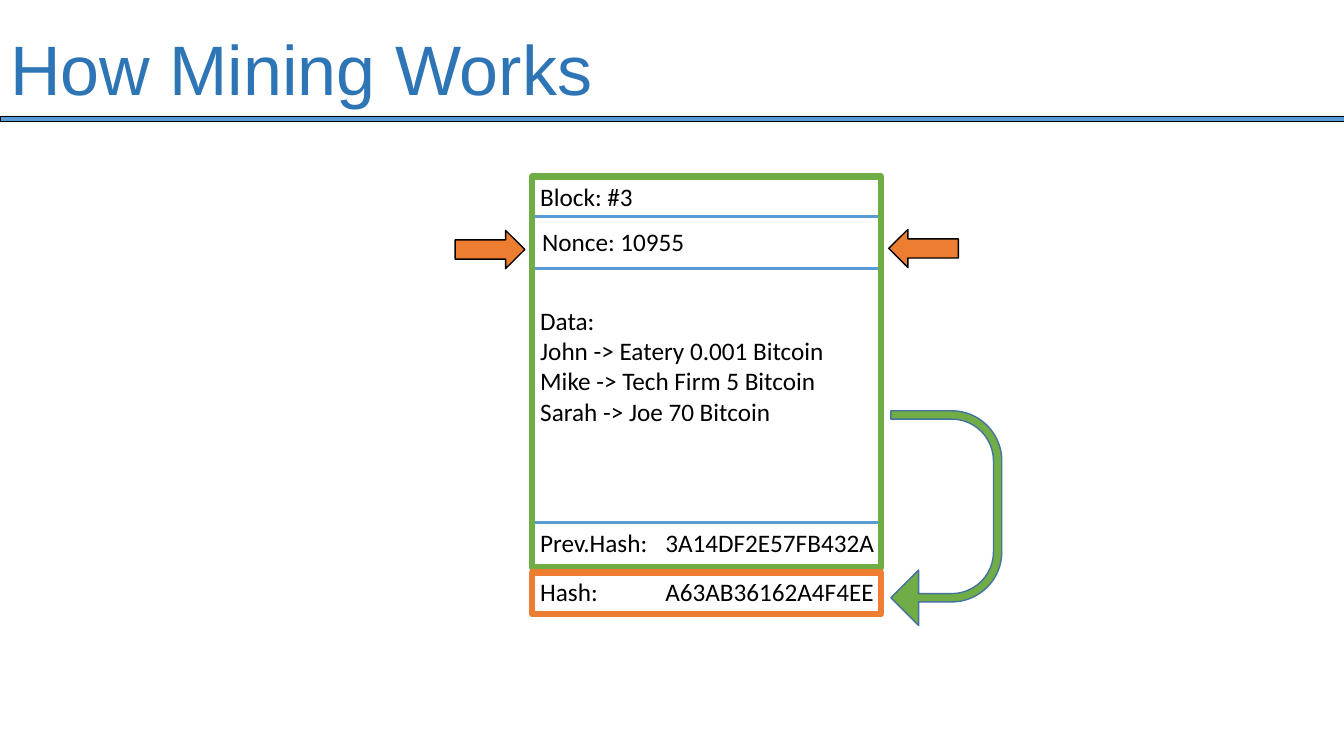
from lxml import etree
from pptx import Presentation
from pptx.dml.color import RGBColor
from pptx.enum.shapes import MSO_CONNECTOR, MSO_SHAPE
from pptx.enum.text import MSO_ANCHOR, MSO_AUTO_SIZE, PP_ALIGN
from pptx.oxml.ns import qn
from pptx.util import Inches, Pt

RECT = MSO_SHAPE.RECTANGLE
DOWN_ARROW = MSO_SHAPE.DOWN_ARROW
UTURN_ARROW = MSO_SHAPE.U_TURN_ARROW
STRAIGHT = MSO_CONNECTOR.STRAIGHT
LEFT = PP_ALIGN.LEFT
TOP = MSO_ANCHOR.TOP
MIDDLE = MSO_ANCHOR.MIDDLE
NO_FIT = MSO_AUTO_SIZE.NONE

COLORS = {
    "title": "2E75B6",
    "text": "000000",
    "blue": "5B9BD5",
    "green": "70AD47",
    "orange": "ED7D31",
    "edge": "43739E",
}


def color(name):
    return RGBColor.from_string(COLORS[name])


def write(frame, text, size=18, font="Calibri", ink="text", anchor=TOP, spacing=1.0, tab=None):
    frame.word_wrap = True
    frame.auto_size = NO_FIT
    frame.vertical_anchor = anchor
    frame.text = text
    for paragraph in frame.paragraphs:
        paragraph.alignment = LEFT
        paragraph.line_spacing = spacing
        if tab:
            stops = etree.SubElement(paragraph._p.get_or_add_pPr(), qn("a:tabLst"))
            etree.SubElement(stops, qn("a:tab"), pos=str(Inches(tab)), algn="l")
        paragraph.font.size = Pt(size)
        paragraph.font.name = font
        paragraph.font.color.rgb = color(ink)


class MiningSlide:
    def __init__(self, deck):
        self.width, self.height = deck.slide_width, deck.slide_height
        self.slide = deck.slides.add_slide(deck.slide_layouts[5])
        self.shapes = self.slide.shapes

    def place(self, left, top, width, height):
        return (
            round(self.width * left / 100),
            round(self.height * top / 100),
            round(self.width * width / 100),
            round(self.height * height / 100),
        )

    def title(self, text, box):
        heading = self.shapes.title
        heading.left, heading.top, heading.width, heading.height = self.place(*box)
        write(heading.text_frame, text, size=50, font="Arial", ink="title",
              anchor=MIDDLE, spacing=0.9)

    def label(self, text, box, **style):
        write(self.shapes.add_textbox(*self.place(*box)).text_frame, text, **style)

    def shape(self, kind, box, line, weight, fill=None, rotation=0, adjustments=()):
        figure = self.shapes.add_shape(kind, *self.place(*box))
        figure.shadow.inherit = False
        figure.rotation = rotation
        for index, value in enumerate(adjustments):
            figure.adjustments[index] = value
        if fill:
            figure.fill.solid()
            figure.fill.fore_color.rgb = color(fill)
        else:
            figure.fill.background()
        figure.line.color.rgb = color(line)
        figure.line.width = Pt(weight)

    def rule(self, left, top, width, ink, weight):
        x, y, length, _ = self.place(left, top, width, 0)
        divider = self.shapes.add_connector(STRAIGHT, x, y, x + length, y)
        divider.line.color.rgb = color(ink)
        divider.line.width = Pt(weight)
        etree.SubElement(divider._element.spPr, qn("a:effectLst"))


def main():
    deck = Presentation()
    deck.slide_width, deck.slide_height = Inches(13.33), Inches(7.5)
    page = MiningSlide(deck)

    block_left, block_width = 39.6, 25.96
    block_top, block_height = 23.33, 51.73
    block_bottom = block_top + block_height
    text_left, text_width, row_height = 39.46, 26.7, 5.33
    previous_top = 69.07
    hash_tab = 1.24

    page.title("How Mining Works", (0, 0, 86.27, 19.33))
    page.shape(RECT, (0, 15.33, 100, 0.67), "text", 0.25, fill="blue")

    transfers = [
        "Data:",
        "John -> Eatery 0.001 Bitcoin",
        "Mike -> Tech Firm 5 Bitcoin",
        "Sarah -> Joe 70 Bitcoin",
    ]
    page.label("Block: #3", (text_left, block_top, text_width, row_height))
    page.label("Nonce: 10955", (block_left, 29.33, text_width, row_height))
    page.label("\n".join(transfers), (text_left, 39.73, text_width, 17.47))
    page.label("Prev.Hash:\t3A14DF2E57FB432A",
               (text_left, previous_top, text_width, row_height), tab=hash_tab)
    page.label("Hash:\tA63AB36162A4F4EE",
               (text_left, 75.6, text_width, row_height), tab=hash_tab)

    for arrow_left, arrow_top, rotation in ((35.03, 28.4, 270), (67.29, 28.27, 90)):
        page.shape(DOWN_ARROW, (arrow_left, arrow_top, 2.85, 9.2), "text", 1,
                   fill="orange", rotation=rotation)

    for rule_top in (28.67, 35.47, previous_top):
        page.rule(block_left, rule_top, block_width, "blue", 2.25)
    page.rule(block_left, block_bottom, block_width, "green", 4.5)

    page.shape(RECT, (block_left, block_top, block_width, block_height), "green", 4.5)
    page.shape(RECT, (block_left, 75.73, block_width, 5.47), "orange", 4.5)
    page.shape(UTURN_ARROW, (62.42, 61.2, 15.98, 14.67), "edge", 1, fill="green",
               rotation=90, adjustments=(0.075, 0.25, 0.25, 0.452, 1))

    deck.save("out.pptx")


if __name__ == "__main__":
    main()
